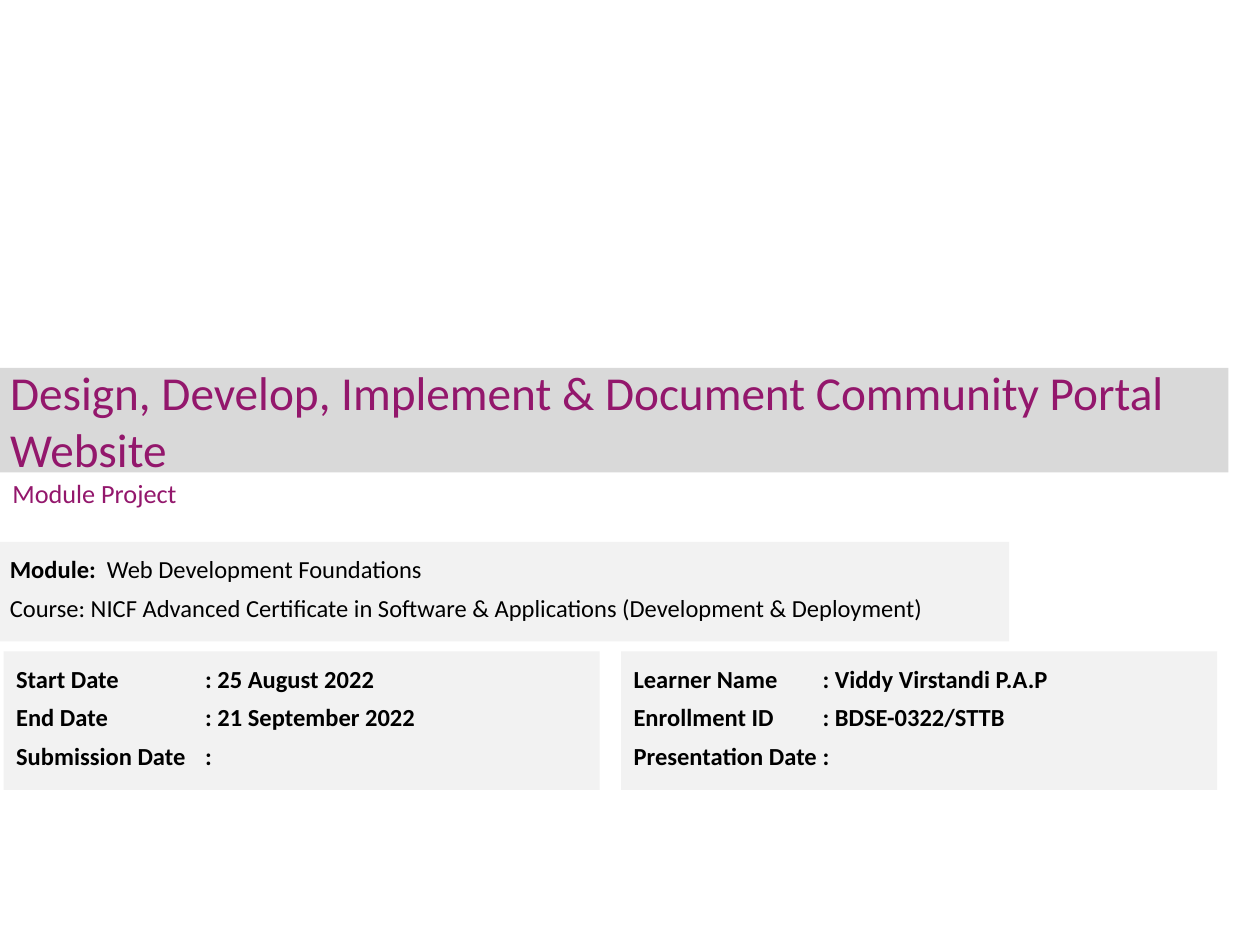
from lxml import etree
from pptx import Presentation
from pptx.dml.color import RGBColor
from pptx.enum.shapes import MSO_SHAPE as Shape
from pptx.enum.text import MSO_ANCHOR as Anchor, PP_ALIGN as Align
from pptx.oxml.ns import qn
from pptx.util import Inches, Pt

PURPLE = RGBColor(0x93, 0x17, 0x6C)
BLACK = RGBColor(0x00, 0x00, 0x00)
BAND_GRAY = RGBColor(0xD9, 0xD9, 0xD9)
PANEL_GRAY = RGBColor(0xF2, 0xF2, 0xF2)


def add_box(left, top, width, height, fill, anchor, margins):
    """Add a rectangle, filled when a colour is given, ready for text."""
    position = [Inches(value) for value in (left, top, width, height)]
    if fill is None:
        shape = slide.shapes.add_textbox(*position)
    else:
        shape = slide.shapes.add_shape(Shape.RECTANGLE, *position)
        shape.shadow.inherit = False
        shape.fill.solid()
        shape.fill.fore_color.rgb = fill
        shape.line.fill.background()
    frame = shape.text_frame
    frame.word_wrap = True
    frame.vertical_anchor = anchor
    side, above, below = margins
    frame.margin_left = frame.margin_right = Inches(side)
    frame.margin_top, frame.margin_bottom = Inches(above), Inches(below)
    return frame


def write_lines(frame, lines, size, color, tab=None):
    """Write lines of (text, bold) runs; a tab stop marks a spaced panel."""
    for index, runs in enumerate(lines):
        paragraph = frame.add_paragraph() if index else frame.paragraphs[0]
        paragraph.alignment = Align.LEFT
        if tab:
            paragraph.line_spacing = Pt(18)
            paragraph.space_before = Pt(2 if index else 0)
            paragraph.space_after = Pt(2)
            tabs = etree.SubElement(paragraph._p.get_or_add_pPr(), qn("a:tabLst"))
            etree.SubElement(tabs, qn("a:tab"), pos=str(Inches(tab)), algn="l")
        for text, bold in runs:
            run = paragraph.add_run()
            run.text = text
            run.font.name = "Calibri"
            run.font.size = Pt(size)
            run.font.bold = bold
            run.font.color.rgb = color


presentation = Presentation()
presentation.slide_width = Inches(10)
presentation.slide_height = Inches(7.5)
slide = presentation.slides.add_slide(presentation.slide_layouts[6])

# Title band and subtitle
title = add_box(0, 2.92, 9.75, 0.83, BAND_GRAY, Anchor.MIDDLE, (0.08, 0.04, 0.04))
write_lines(title, [[("Design, Develop, Implement & Document Community Portal Website", False)]],
            27, PURPLE)
subtitle = add_box(0, 3.6, 6.42, 0.62, None, Anchor.MIDDLE, (0.1, 0.05, 0.05))
write_lines(subtitle, [[("Module Project", False)]], 15, PURPLE)

# Module and course panel
PANEL_MARGINS = (0.1, 0.08, 0.05)
course = add_box(-0.02, 4.3, 8.03, 0.79, PANEL_GRAY, Anchor.TOP, PANEL_MARGINS)
write_lines(course, [
    [("Module:\t", True), ("Web Development Foundations", False)],
    [("Course: NICF Advanced Certificate in Software & Applications "
      "(Development & Deployment)", False)],
], 14, BLACK, tab=0.77)

# Date and learner panels, side by side
details = [
    [("Start Date", ": 25 August 2022"),
     ("End Date", ": 21 September 2022"),
     ("Submission Date", ":")],
    [("Learner Name", ": Viddy Virstandi P.A.P"),
     ("Enrollment ID", ": BDSE-0322/STTB"),
     ("Presentation Date", ":")],
]
for column, rows in enumerate(details):
    panel = add_box(0.03 + column * 4.9, 5.17, 4.73, 1.1, PANEL_GRAY, Anchor.TOP, PANEL_MARGINS)
    lines = [[(f"{label}\t{value}", True)] for label, value in rows]
    write_lines(panel, lines, 14, BLACK, tab=1.5)

presentation.save("out.pptx")
